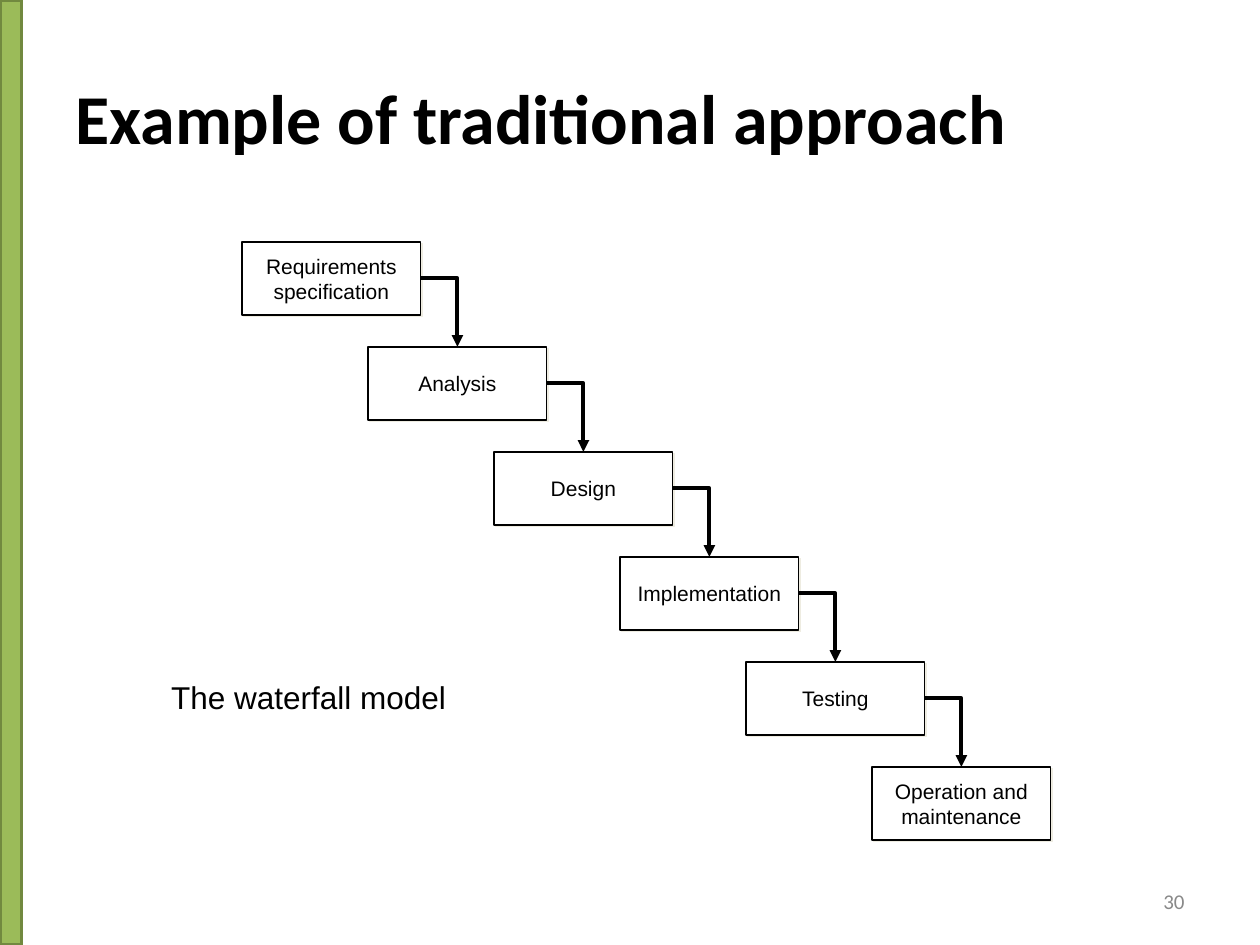
from dataclasses import dataclass

from lxml.etree import SubElement
from pptx import Presentation
from pptx.dml.color import RGBColor
from pptx.enum.shapes import MSO_CONNECTOR as Connector, MSO_SHAPE as Shape
from pptx.enum.text import MSO_ANCHOR as Anchor, PP_ALIGN as Align
from pptx.oxml.ns import qn
from pptx.util import Inches, Pt


@dataclass(frozen=True)
class Theme:
    heading_font: str = "Calibri"
    body_font: str = "Arial"
    ink: str = "000000"
    paper: str = "FFFFFF"
    muted: str = "898989"
    accent: str = "9BBB59"
    accent_edge: str = "71893F"
    shadow: str = "EEECE1"
    title_size: int = 40
    caption_size: int = 18
    small_size: int = 12


class SlideBuilder:
    def __init__(self, slide, theme):
        self.slide = slide
        self.theme = theme
        self.diagram = slide.shapes.add_group_shape()

    def fill_text(self, box, text, size, font, color, bold=False,
                  align=Align.LEFT, anchor=Anchor.MIDDLE, wrap=True):
        frame = box.text_frame
        frame_format = {
            "word_wrap": wrap, "vertical_anchor": anchor,
            "margin_left": Inches(0.1), "margin_right": Inches(0.1),
            "margin_top": Inches(0.05), "margin_bottom": Inches(0.05),
        }
        for name, value in frame_format.items():
            setattr(frame, name, value)
        para = frame.paragraphs[0]
        para.text = text
        para.alignment = align
        for line_break in para._p.findall(qn("a:br")):
            SubElement(line_break, qn("a:rPr"), sz=str(size * 100))
        for span in para.runs:
            for name, value in {"size": Pt(size), "name": font, "bold": bold}.items():
                setattr(span.font, name, value)
            span.font.color.rgb = RGBColor.from_string(color)

    def text(self, left, top, width, height, text, size, font, color, **style):
        box = self.slide.shapes.add_textbox(
            Inches(left), Inches(top), Inches(width), Inches(height))
        self.fill_text(box, text, size, font, color, **style)

    def rectangle(self, shapes, left, top, width, height, fill, edge, weight):
        box = shapes.add_shape(Shape.RECTANGLE, Inches(left), Inches(top),
                               Inches(width), Inches(height))
        box.shadow.inherit = False
        box.fill.solid()
        box.fill.fore_color.rgb = RGBColor.from_string(fill)
        box.line.color.rgb = RGBColor.from_string(edge)
        box.line.width = Pt(weight)
        return box

    def stage(self, left, top, width, height, label):
        theme = self.theme
        box = self.rectangle(self.diagram.shapes, left, top, width, height,
                             theme.paper, theme.ink, 0.75)
        effects = box._element.spPr.find(qn("a:effectLst"))
        shadow = SubElement(effects, qn("a:outerShdw"),
                            dist=str(Pt(1.4)), dir="2700000", algn="ctr")
        SubElement(shadow, qn("a:srgbClr"), val=theme.shadow)
        self.fill_text(box, label, theme.small_size, theme.body_font, theme.ink,
                       align=Align.CENTER, wrap=False)
        return box

    def arrow(self, source, target):
        link = self.diagram.shapes.add_connector(
            Connector.ELBOW, source.left + source.width,
            source.top + source.height // 2,
            target.left + target.width // 2, target.top)
        link.begin_connect(source, 3)
        link.end_connect(target, 0)
        link.line.color.rgb = RGBColor.from_string(self.theme.ink)
        link.line.width = Pt(2.25)
        properties = link._element.spPr
        properties.find(qn("a:prstGeom")).set("prst", "bentConnector2")
        SubElement(properties.find(qn("a:ln")), qn("a:tailEnd"), type="triangle")
        SubElement(properties, qn("a:effectLst"))


def main():
    deck = Presentation()
    deck.slide_width, deck.slide_height = Inches(10), Inches(7.5)
    page = deck.slides.add_slide(deck.slide_layouts[6])
    theme = Theme()
    builder = SlideBuilder(page, theme)

    builder.text(0.5, 0.3, 9, 1.25, "Example of traditional approach",
                 theme.title_size, theme.heading_font, theme.ink, bold=True)
    builder.rectangle(page.shapes, 0, 0, 0.17, 7.5,
                      theme.accent, theme.accent_edge, 2)

    labels = ["Requirements\nspecification", "Analysis", "Design",
              "Implementation", "Testing", "Operation and\nmaintenance"]
    stages = [builder.stage(1.92 + step, 1.92 + step * 5 / 6, 1.42, 0.58, label)
              for step, label in enumerate(labels)]
    for source, target in zip(stages, stages[1:]):
        builder.arrow(source, target)

    builder.text(7.17, 6.95, 2.33, 0.4, "30", theme.small_size,
                 theme.heading_font, theme.muted, align=Align.RIGHT)
    builder.text(1.26, 5.33, 2.38, 0.4, "The waterfall model",
                 theme.caption_size, theme.body_font, theme.ink,
                 anchor=Anchor.TOP, wrap=False)
    deck.save("out.pptx")


if __name__ == "__main__":
    main()
